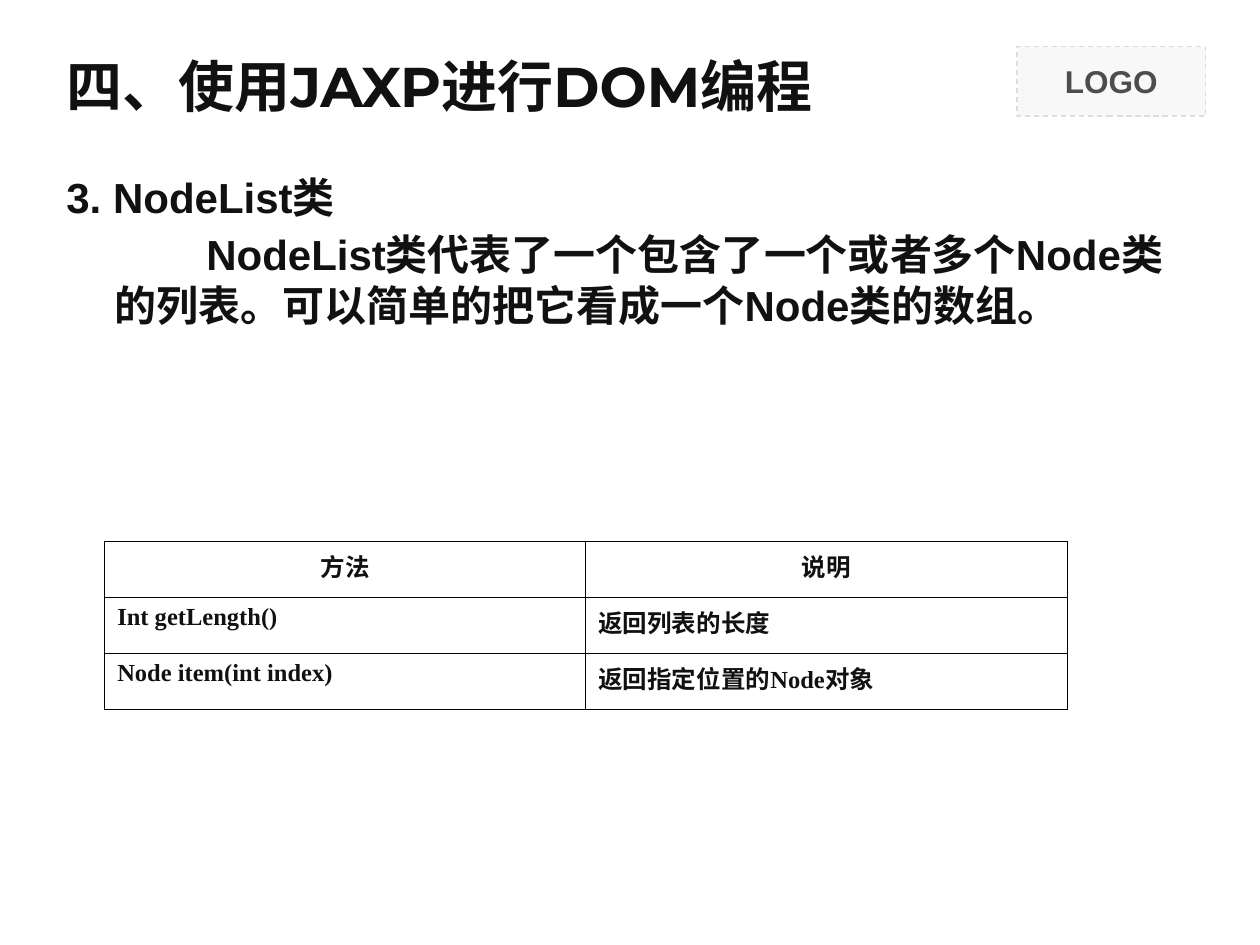
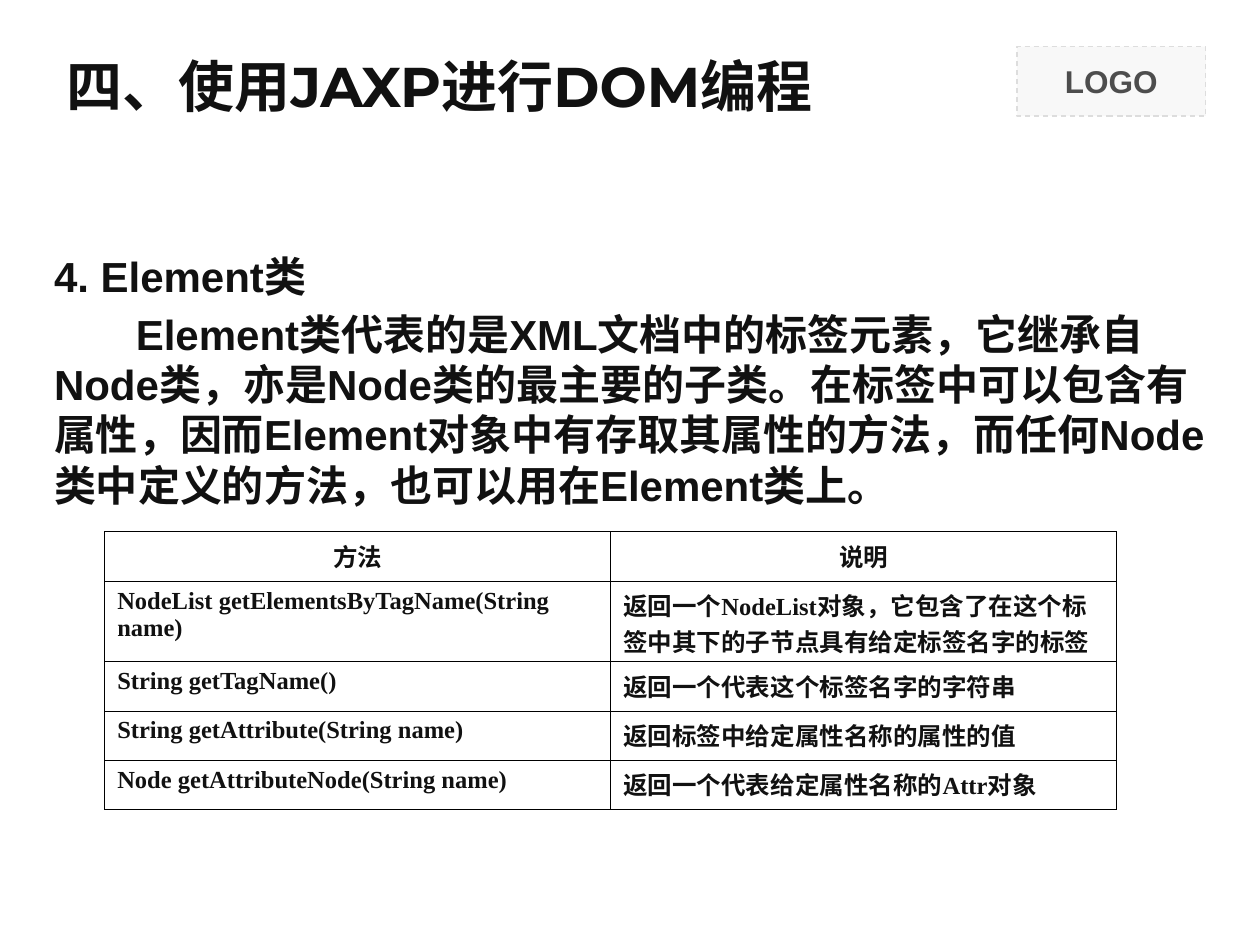
from lxml import etree
from pptx import Presentation
from pptx.dml.color import RGBColor
from pptx.enum.dml import MSO_LINE
from pptx.enum.shapes import MSO_SHAPE
from pptx.enum.text import MSO_ANCHOR, MSO_AUTO_SIZE, PP_ALIGN
from pptx.oxml import parse_xml
from pptx.oxml.ns import nsdecls
from pptx.util import Cm, Pt

# Shared look
INK = RGBColor(0x11, 0x11, 0x11)
BLACK = RGBColor(0x00, 0x00, 0x00)
LOGO_INK = RGBColor(0x4D, 0x4D, 0x4D)
LOGO_FILL = RGBColor(0xF8, 0xF8, 0xF8)
LOGO_LINE = RGBColor(0xDD, 0xDD, 0xDD)
HEAD_FONT, BODY_FONT, TABLE_FONT = "Montserrat", "Arial", "Times New Roman"
CENTER, LEFT = PP_ALIGN.CENTER, PP_ALIGN.LEFT
MIDDLE = MSO_ANCHOR.MIDDLE
NO_FIT = MSO_AUTO_SIZE.NONE
DASH = MSO_LINE.DASH
RECTANGLE = MSO_SHAPE.RECTANGLE
TITLE_ONLY = 5

# Boxes: left, top, width, height in centimetres
TITLE_BOX = (1.09, 0.71, 17.81, 2.01)
LOGO_BOX = (20.5, 0.94, 3.81, 1.4)

TITLE = "四、使用JAXP进行DOM编程"
TABLE_HEAD = ("方法", "说明")

NODE_LIST = {
    "body_box": (1.09, 3.33, 23.22, 14.2),
    "heading": "3. NodeList类",
    "text": "NodeList类代表了一个包含了一个或者多个Node类的列表。"
            "可以简单的把它看成一个Node类的数组。",
    "margin": 0.97,
    "lead": 1.85,
    "table_box": (2.11, 10.92, 19.4),
    "row_heights": (1.13, 1.13, 1.13),
    "methods": [
        ("Int getLength()", "返回列表的长度"),
        ("Node item(int index)", "返回指定位置的Node对象"),
    ],
}
ELEMENT = {
    "body_box": (0.84, 4.93, 23.72, 13.41),
    "heading": "4. Element类",
    "text": "Element类代表的是XML文档中的标签元素，它继承自Node类，亦是Node类的最主要的子类。"
            "在标签中可以包含有属性，因而Element对象中有存取其属性的方法，"
            "而任何Node类中定义的方法，也可以用在Element类上。",
    "margin": 0,
    "lead": 1.65,
    "table_box": (2.11, 10.72, 20.4),
    "row_heights": (0.99, 1.63, 0.99, 0.99, 0.99),
    "methods": [
        ("NodeList getElementsByTagName(String name)",
         "返回一个NodeList对象，它包含了在这个标签中其下的子节点具有给定标签名字的标签"),
        ("String getTagName()", "返回一个代表这个标签名字的字符串"),
        ("String getAttribute(String name)", "返回标签中给定属性名称的属性的值"),
        ("Node getAttributeNode(String name)", "返回一个代表给定属性名称的Attr对象"),
    ],
}


def format_paragraph(para, font, size, color=INK, align=LEFT):
    para.alignment = align
    for span in para.runs:
        span.font.name = font
        span.font.size = Pt(size)
        span.font.bold = True
        span.font.color.rgb = color


def set_indent(para, margin, first_line):
    properties = para._p.get_or_add_pPr()
    properties.set("marL", str(Cm(margin)))
    properties.set("indent", str(Cm(first_line)))


def set_borders(cell, color, width):
    properties = cell._tc.get_or_add_tcPr()
    for side in ("lnL", "lnR", "lnT", "lnB"):
        border = parse_xml(f'<a:{side} {nsdecls("a")} w="{Pt(width)}"/>')
        fill = etree.SubElement(border, border.tag.replace(side, "solidFill"))
        etree.SubElement(fill, border.tag.replace(side, "srgbClr"), val=str(color))
        properties.append(border)


def place_title(page, box):
    title = page.shapes.title
    title.left, title.top, title.width, title.height = map(Cm, box)
    frame = title.text_frame
    frame.text = TITLE
    frame.word_wrap = True
    frame.auto_size = NO_FIT
    frame.vertical_anchor = MIDDLE
    format_paragraph(frame.paragraphs[0], HEAD_FONT, 32)


def add_logo_box(page, box):
    logo = page.shapes.add_shape(RECTANGLE, *map(Cm, box))
    logo.shadow.inherit = False
    logo.fill.solid()
    logo.fill.fore_color.rgb = LOGO_FILL
    logo.line.color.rgb = LOGO_LINE
    logo.line.width = Pt(0.75)
    logo.line.dash_style = DASH
    frame = logo.text_frame
    frame.text = "LOGO"
    frame.vertical_anchor = MIDDLE
    format_paragraph(frame.paragraphs[0], BODY_FONT, 18, LOGO_INK, CENTER)


def add_body(page, box, heading, text, margin, lead):
    frame = page.shapes.add_textbox(*map(Cm, box)).text_frame
    frame.word_wrap = True
    frame.text = f"{heading}\n{text}"
    for para, first_line in zip(frame.paragraphs, (-margin, lead)):
        set_indent(para, margin, first_line)
        para.line_spacing = Pt(28.8)
        para.space_after = Pt(4)
        format_paragraph(para, BODY_FONT, 24)


def add_method_table(page, box, row_heights, methods):
    left, top, width = box
    rows = [TABLE_HEAD, *methods]
    table = page.shapes.add_table(
        len(rows), len(TABLE_HEAD),
        Cm(left), Cm(top), Cm(width), Cm(sum(row_heights))).table
    table.first_row = False
    table.horz_banding = False
    for row, height, texts in zip(table.rows, row_heights, rows):
        row.height = Cm(height)
        align = CENTER if texts is TABLE_HEAD else LEFT
        for cell, text in zip(row.cells, texts):
            cell.text = text
            set_borders(cell, BLACK, 0.45)
            cell.fill.background()
            format_paragraph(cell.text_frame.paragraphs[0], TABLE_FONT, 14, align=align)


def add_class_page(deck, topic):
    page = deck.slides.add_slide(deck.slide_layouts[TITLE_ONLY])
    add_logo_box(page, LOGO_BOX)
    place_title(page, TITLE_BOX)
    add_body(page, topic["body_box"], topic["heading"], topic["text"],
             topic["margin"], topic["lead"])
    add_method_table(page, topic["table_box"], topic["row_heights"], topic["methods"])


def main():
    deck = Presentation()
    deck.slide_width, deck.slide_height = Cm(25.4), Cm(19.05)
    for topic in (NODE_LIST, ELEMENT):
        add_class_page(deck, topic)
    deck.save("out.pptx")


if __name__ == "__main__":
    main()
